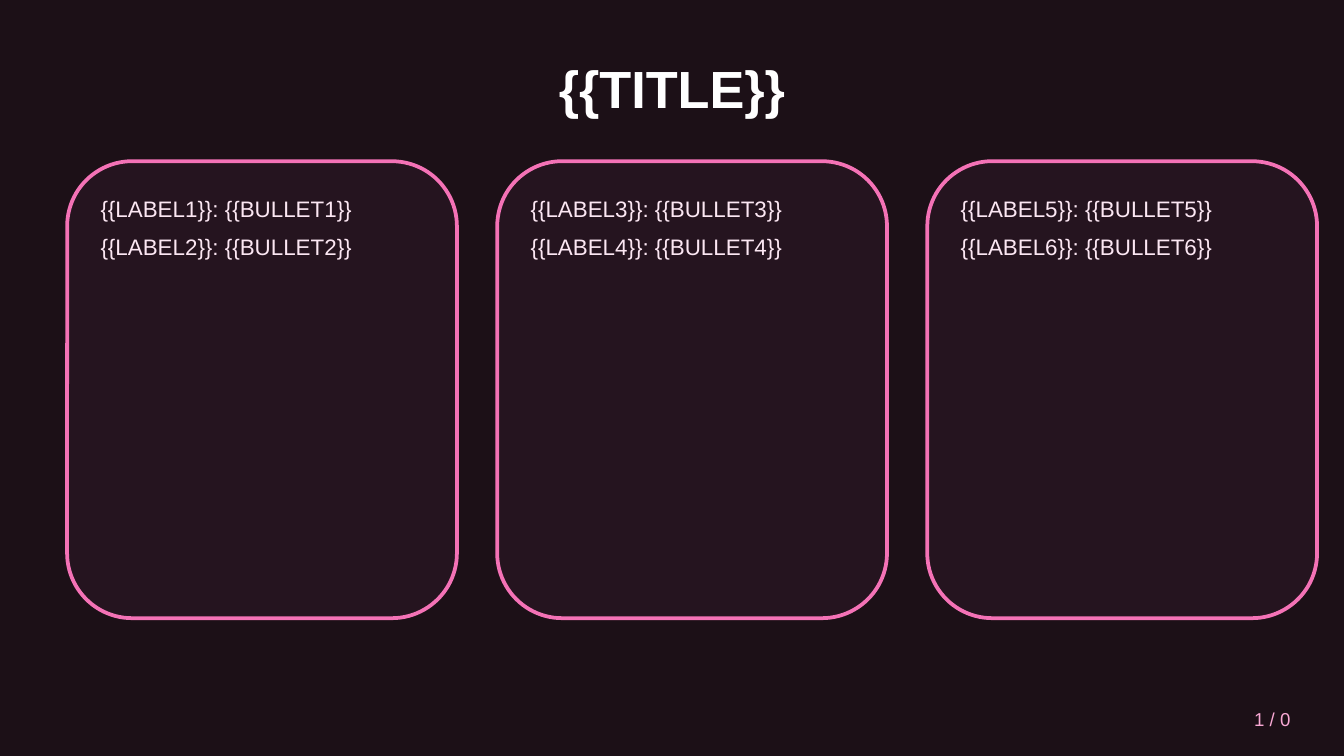
"""Build a dark title slide with three outlined cards of labelled bullets."""
from lxml import etree
from pptx import Presentation
from pptx.dml.color import RGBColor
from pptx.enum import shapes, text
from pptx.oxml import ns
from pptx.util import Pt

TITLE = "{{TITLE}}"
CARDS = [
    ["{{LABEL1}}: {{BULLET1}}", "{{LABEL2}}: {{BULLET2}}"],
    ["{{LABEL3}}: {{BULLET3}}", "{{LABEL4}}: {{BULLET4}}"],
    ["{{LABEL5}}: {{BULLET5}}", "{{LABEL6}}: {{BULLET6}}"],
]
PAGE_NUMBER = "1 / 0"

FONT = "Arial"
COLORS = {
    "background": "1C1017",
    "title": "FFFFFF",
    "card": "261520",
    "border": "F472B6",
    "body": "FCE7F3",
    "page": "F9A8D4",
}
CARD_LEFT, CARD_TOP, CARD_WIDTH, CARD_HEIGHT = 36, 86.4, 208.8, 244.8
CARD_GAP = 21.6
CARD_OPACITY = 90
TEXT_INSET_X, TEXT_INSET_Y = 10.8, 14.4


def paint(target, name):
    target.rgb = RGBColor.from_string(COLORS[name])


def place(shape, left, top, width, height):
    shape.left, shape.top = Pt(left), Pt(top)
    shape.width, shape.height = Pt(width), Pt(height)


def write(shape, lines, size, color, align=text.PP_ALIGN.LEFT,
          anchor=text.MSO_ANCHOR.TOP, bold=False, space_after=0):
    frame = shape.text_frame
    frame.word_wrap = True
    frame.auto_size = text.MSO_AUTO_SIZE.NONE
    frame.vertical_anchor = anchor
    frame.text = "\n".join(lines)
    for paragraph in frame.paragraphs:
        paragraph.alignment = align
        paragraph.space_before = Pt(0)
        paragraph.space_after = Pt(space_after)
        for run in paragraph.runs:
            run.font.name = FONT
            run.font.size = Pt(size)
            run.font.bold = bold
            paint(run.font.color, color)


def add_text(slide, box, lines, size, color, **options):
    shape = slide.shapes.add_textbox(*map(Pt, box))
    write(shape, lines, size, color, **options)


def add_card(slide, left, lines):
    box = (left, CARD_TOP, CARD_WIDTH, CARD_HEIGHT)
    card = slide.shapes.add_shape(
        shapes.MSO_SHAPE.ROUNDED_RECTANGLE, *map(Pt, box))
    card.shadow.inherit = False
    card.fill.solid()
    paint(card.fill.fore_color, "card")
    fill_color = card.fill._xPr.find(ns.qn("a:solidFill"))[0]
    etree.SubElement(fill_color, ns.qn("a:alpha"), val=str(CARD_OPACITY * 1000))
    paint(card.line.color, "border")
    card.line.width = Pt(2)
    text_box = (left + TEXT_INSET_X, CARD_TOP + TEXT_INSET_Y,
                CARD_WIDTH - 2 * TEXT_INSET_X, CARD_HEIGHT - 2 * TEXT_INSET_Y)
    add_text(slide, text_box, lines, 12, "body", space_after=6)


def main():
    presentation = Presentation()
    presentation.slide_width, presentation.slide_height = Pt(720), Pt(405)
    slide = presentation.slides.add_slide(presentation.slide_layouts[5])
    slide.background.fill.solid()
    paint(slide.background.fill.fore_color, "background")

    title = slide.shapes.title
    place(title, 36, 21.6, 648, 50.4)
    write(title, [TITLE], 28, "title", align=text.PP_ALIGN.CENTER,
          anchor=text.MSO_ANCHOR.MIDDLE, bold=True)

    for index, lines in enumerate(CARDS):
        add_card(slide, CARD_LEFT + index * (CARD_WIDTH + CARD_GAP), lines)

    add_text(slide, (612, 374.4, 86.4, 21.6), [PAGE_NUMBER], 10, "page",
             align=text.PP_ALIGN.RIGHT, anchor=text.MSO_ANCHOR.MIDDLE)
    presentation.save("out.pptx")


if __name__ == "__main__":
    main()
